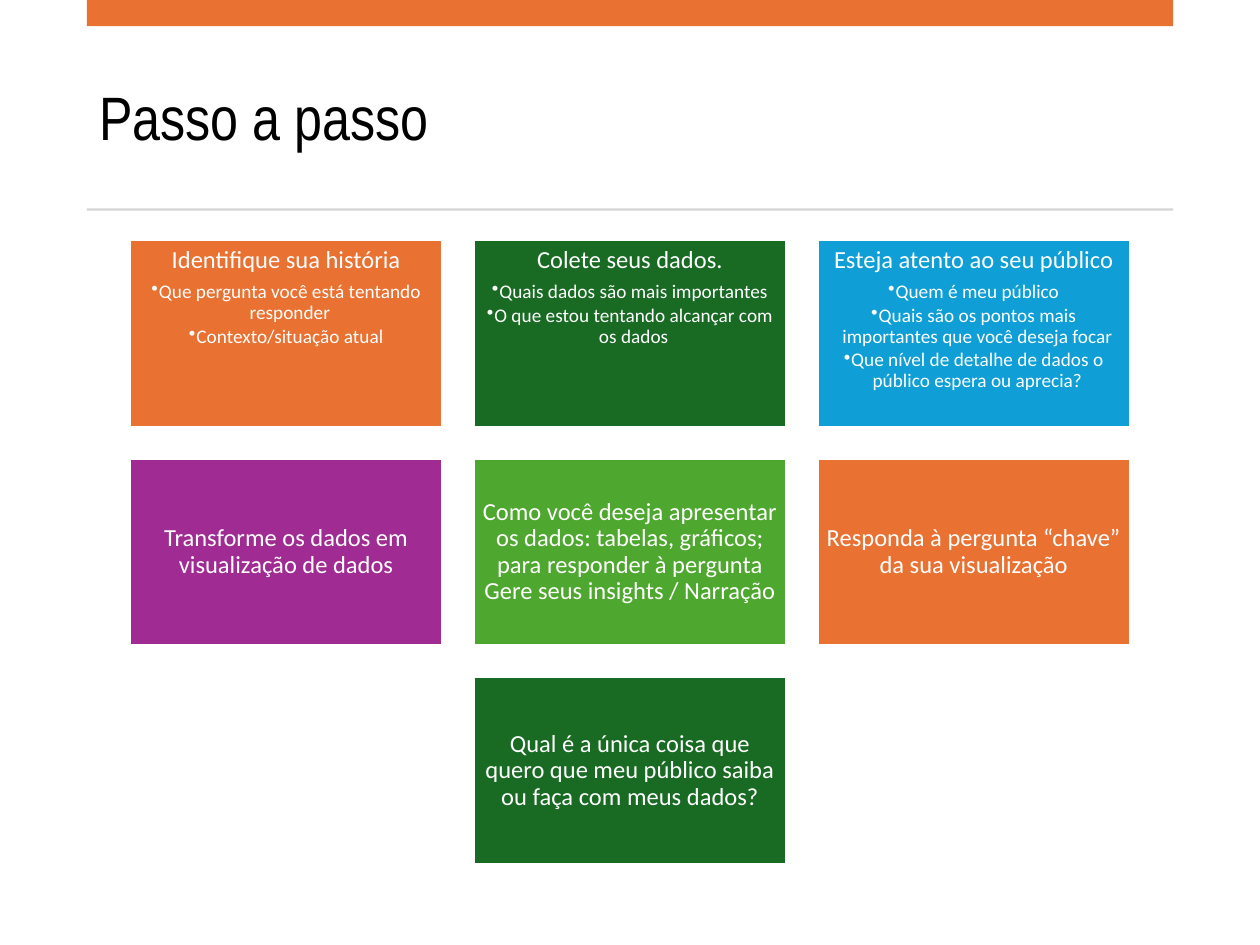
import pptx
import pptx.util
import pptx.dml.color
import pptx.enum.shapes
import pptx.enum.text
import pptx.oxml.ns
from lxml import etree

Cm, Pt = pptx.util.Cm, pptx.util.Pt
ALIGN = pptx.enum.text.PP_ALIGN
ANCHOR = pptx.enum.text.MSO_ANCHOR

# Content
COLORS = {"orange": "E97132", "green": "196B24", "blue": "0F9ED5", "purple": "A02B93",
          "lime": "4EA72E", "gray": "D5D5D5", "white": "FFFFFF", "black": "000000"}

TITLE = "Passo a passo"

# Rows of steps: fill, heading, bullets
STEP_ROWS = [
    [("orange", "Identifique sua história",
      ["Que pergunta você está tentando responder", "Contexto/situação atual"]),
     ("green", "Colete seus dados.",
      ["Quais dados são mais importantes", "O que estou tentando alcançar com os dados"]),
     ("blue", "Esteja atento ao seu público",
      ["Quem é meu público",
       "Quais são os pontos mais importantes que você deseja focar",
       "Que nível de detalhe de dados o público espera ou aprecia?"])],
    [("purple", "Transforme os dados em visualização de dados", []),
     ("lime", "Como você deseja apresentar os dados: tabelas, gráficos; "
              "para responder à pergunta Gere seus insights / Narração", []),
     ("orange", "Responda à pergunta “chave” da sua visualização", [])],
    [("green", "Qual é a única coisa que quero que meu público saiba "
               "ou faça com meus dados?", [])],
]

# Layout in centimetres
SLIDE_WIDTH, SLIDE_HEIGHT = 25.4, 19.05
MARGIN = 1.75
CONTENT_WIDTH = SLIDE_WIDTH - 2 * MARGIN
CARD_WIDTH, CARD_HEIGHT, GAP = 6.3, 3.78, 0.63
GRID_TOP = 4.83
INSET = 0.15

# Text formats
TITLE_FONT = {"name": "Arial Narrow", "size": Pt(35)}
HEADING_FONT = {"name": "Calibri", "size": Pt(14)}
BULLET_FONT = {"name": "Calibri", "size": Pt(11)}
TITLE_PARAGRAPH = {"alignment": ALIGN.LEFT, "line_spacing": 0.9}
HEADING_PARAGRAPH = {"alignment": ALIGN.CENTER, "line_spacing": 0.9, "space_after": Pt(4.9)}
BULLET_PARAGRAPH = {"alignment": ALIGN.CENTER, "line_spacing": 0.9, "space_after": Pt(1.65),
                    "level": 1}
CARD_FRAME = {"word_wrap": True, **{f"margin_{side}": Cm(INSET)
                                    for side in ("left", "top", "right", "bottom")}}


def apply(target, values):
    for name, value in values.items():
        setattr(target, name, value)


def rgb(color):
    return pptx.dml.color.RGBColor.from_string(COLORS[color])


def add_rectangle(slide, box, color, outline=None):
    shape = slide.shapes.add_shape(pptx.enum.shapes.MSO_SHAPE.RECTANGLE, *map(Cm, box))
    shape.shadow.inherit = False
    shape.fill.solid()
    shape.fill.fore_color.rgb = rgb(color)
    if outline:
        shape.line.color.rgb = rgb(outline)
        shape.line.width = Pt(1.5)
    else:
        shape.line.fill.background()
    return shape


def write(paragraph, text, paragraph_format, font_format, color):
    apply(paragraph, paragraph_format)
    run = paragraph.add_run()
    run.text = text
    apply(run.font, font_format)
    run.font.color.rgb = rgb(color)


def add_bullet(paragraph):
    properties = paragraph._p.get_or_add_pPr()
    properties.set("marL", str(Cm(INSET)))
    properties.set("indent", str(-Cm(INSET)))
    etree.SubElement(properties, pptx.oxml.ns.qn("a:buChar"), char="•")


def add_card(slide, left, top, color, heading, bullets):
    card = add_rectangle(slide, (left, top, CARD_WIDTH, CARD_HEIGHT), color, "white")
    frame = card.text_frame
    apply(frame, CARD_FRAME)
    frame.vertical_anchor = ANCHOR.TOP if bullets else ANCHOR.MIDDLE
    write(frame.paragraphs[0], heading, HEADING_PARAGRAPH, HEADING_FONT, "white")
    for bullet in bullets:
        paragraph = frame.add_paragraph()
        write(paragraph, bullet, BULLET_PARAGRAPH, BULLET_FONT, "white")
        add_bullet(paragraph)


def main():
    presentation = pptx.Presentation()
    presentation.slide_width, presentation.slide_height = Cm(SLIDE_WIDTH), Cm(SLIDE_HEIGHT)
    slide = presentation.slides.add_slide(presentation.slide_layouts[6])

    # Top band, title and divider
    add_rectangle(slide, (MARGIN, 0, CONTENT_WIDTH, 0.53), "orange")
    title = slide.shapes.add_textbox(*map(Cm, (MARGIN, 0.94, CONTENT_WIDTH, 3)))
    apply(title.text_frame, {"word_wrap": True, "vertical_anchor": ANCHOR.MIDDLE})
    write(title.text_frame.paragraphs[0], TITLE, TITLE_PARAGRAPH, TITLE_FONT, "black")
    add_rectangle(slide, (MARGIN, 4.2, CONTENT_WIDTH, 0.05), "gray")

    # Step cards, each row centred on the slide
    for row, steps in enumerate(STEP_ROWS):
        row_width = len(steps) * (CARD_WIDTH + GAP) - GAP
        row_left = (SLIDE_WIDTH - row_width) / 2
        top = GRID_TOP + row * (CARD_HEIGHT + GAP)
        for column, step in enumerate(steps):
            add_card(slide, row_left + column * (CARD_WIDTH + GAP), top, *step)

    presentation.save("out.pptx")


if __name__ == "__main__":
    main()
